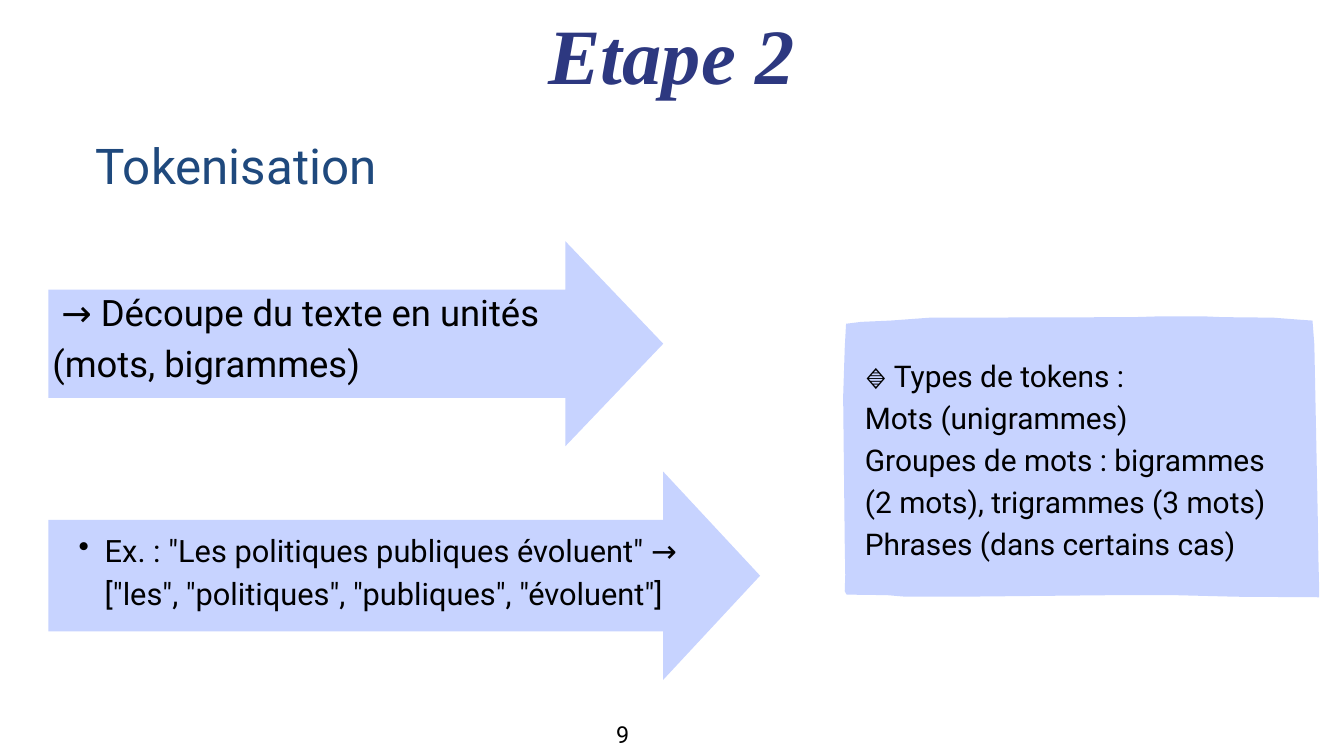
"""Build the slide on step 2, tokenisation."""
import dataclasses

import lxml.etree
import pptx
import pptx.dml.color
import pptx.enum.text
import pptx.oxml.ns
import pptx.util

Cm = pptx.util.Cm
Pt = pptx.util.Pt
Rgb = pptx.dml.color.RGBColor
Align = pptx.enum.text.PP_ALIGN
Anchor = pptx.enum.text.MSO_ANCHOR
Fit = pptx.enum.text.MSO_AUTO_SIZE


@dataclasses.dataclass(frozen=True)
class Theme:
    fill: Rgb = Rgb(0xC7, 0xD3, 0xFF)
    ink: Rgb = Rgb(0, 0, 0)
    navy: Rgb = Rgb(0x2D, 0x38, 0x80)
    blue: Rgb = Rgb(0x1F, 0x49, 0x7D)
    sans: str = "Roboto"
    serif: str = "Times New Roman"
    title: float = 84
    head: float = 52.8
    lead: float = 39
    case: float = 33
    body: float = 32
    page: float = 25


THEME = Theme()

PANEL = [
    (49.83, 20.98), (49.81, 19.58), (49.68, 13.03), (49.61, 12.12),
    (49.17, 12.09), (48.13, 12.01), (46.2, 11.99), (45.49, 11.96),
    (43.84, 11.96), (42.85, 11.99), (35.99, 12.01), (35.15, 12.01),
    (33.66, 12.12), (32.54, 12.17), (31.98, 12.24), (31.93, 13.16),
    (31.87, 15), (31.93, 20.52), (31.95, 21.74), (31.93, 22.35),
    (32, 22.48), (33.53, 22.5), (34.24, 22.56), (36.17, 22.56),
    (42.16, 22.5), (44.4, 22.5), (46.74, 22.56), (49.86, 22.58),
    (49.86, 22.15),
]


def apply(item, form):
    """Set each attribute named in form on item."""
    for name, value in form.items():
        setattr(item, name, value)


def add_form(slide, points):
    """Draw a filled outline through points given in centimetres."""
    dots = [(Cm(x), Cm(y)) for x, y in points]
    pen = slide.shapes.build_freeform(*dots[0])
    pen.add_line_segments(dots[1:], close=True)
    shape = pen.convert_to_shape()
    shape.shadow.inherit = False
    shape.fill.solid()
    shape.fill.fore_color.rgb = THEME.fill
    shape.line.fill.background()


def add_arrow(slide, left, top, width, height, head, inset):
    """Draw a block arrow that points right."""
    tip, low = left + width, top + height
    neck = tip - head
    add_form(slide, [
        (tip, top + height / 2), (neck, top), (neck, top + inset),
        (left, top + inset), (left, low - inset), (neck, low - inset),
        (neck, low),
    ])


def add_text(slide, box, lines, size, pitch, color=THEME.ink, align=Align.LEFT,
             pad=0, dot=False, **font):
    """Write lines in a box, with pitch as line spacing in points."""
    frame = slide.shapes.add_textbox(*map(Cm, box)).text_frame
    edges = ("left", "top", "right", "bottom")
    apply(frame, {f"margin_{edge}": Cm(pad) for edge in edges})
    apply(frame, {
        "word_wrap": True,
        "auto_size": Fit.NONE if pad else Fit.SHAPE_TO_FIT_TEXT,
        "vertical_anchor": Anchor.MIDDLE if pad else Anchor.TOP,
        "text": "\n".join(lines),
    })
    for para in frame.paragraphs:
        if dot:
            add_dot(para)
        apply(para, {"alignment": align, "line_spacing": Pt(pitch)})
        for run in para.runs:
            apply(run.font, {"size": Pt(size), "name": THEME.sans, **font})
            run.font.color.rgb = color


def add_dot(para):
    """Give a paragraph a bullet and a hanging indent."""
    para.level = 1
    props = para._p.get_or_add_pPr()
    props.set("marL", str(Cm(1.98)))
    props.set("indent", str(Cm(-0.99)))
    mark = lxml.etree.SubElement(props, pptx.oxml.ns.qn("a:buChar"))
    mark.set("char", "•")


def main():
    """Build and save the slide."""
    deck = pptx.Presentation()
    apply(deck, {"slide_width": Cm(50.8), "slide_height": Cm(28.58)})
    slide = deck.slides.add_slide(deck.slide_layouts[6])

    add_arrow(slide, 1.83, 9.12, 23.24, 7.75, 3.7, 1.83)
    add_text(slide, (1.83, 10.26, 22.3, 4.75),
             [" → Découpe du texte en unités (mots, bigrammes)"],
             THEME.lead, 54.6, pad=0.15)
    add_arrow(slide, 1.83, 17.83, 26.9, 7.87, 3.66, 1.83)
    add_text(slide, (1.83, 19.08, 25.96, 4.8),
             ['Ex. : "Les politiques publiques évoluent" → '
              '["les", "politiques", "publiques", "évoluent"]'],
             THEME.case, 46.2, pad=0.15, dot=True)

    add_text(slide, (11.23, -0.36, 28.32, 3.96), ["Etape 2"],
             THEME.title, 117.6, THEME.navy, Align.CENTER,
             name=THEME.serif, bold=True, italic=True)
    add_text(slide, (23.29, 27.05, 0.46, 1.17), ["9"],
             THEME.page, 35, align=Align.CENTER)

    add_form(slide, PANEL)
    add_text(slide, (32.69, 13.31, 16.36, 7.77), [
        "🔹 Types de tokens :",
        "Mots (unigrammes)",
        "Groupes de mots : bigrammes (2 mots), trigrammes (3 mots)",
        "Phrases (dans certains cas)",
    ], THEME.body, 44.8)
    add_text(slide, (-1.52, 4.93, 20.9, 2.36), ["Tokenisation"],
             THEME.head, 68.7, THEME.blue, Align.CENTER)
    deck.save("out.pptx")


if __name__ == "__main__":
    main()
